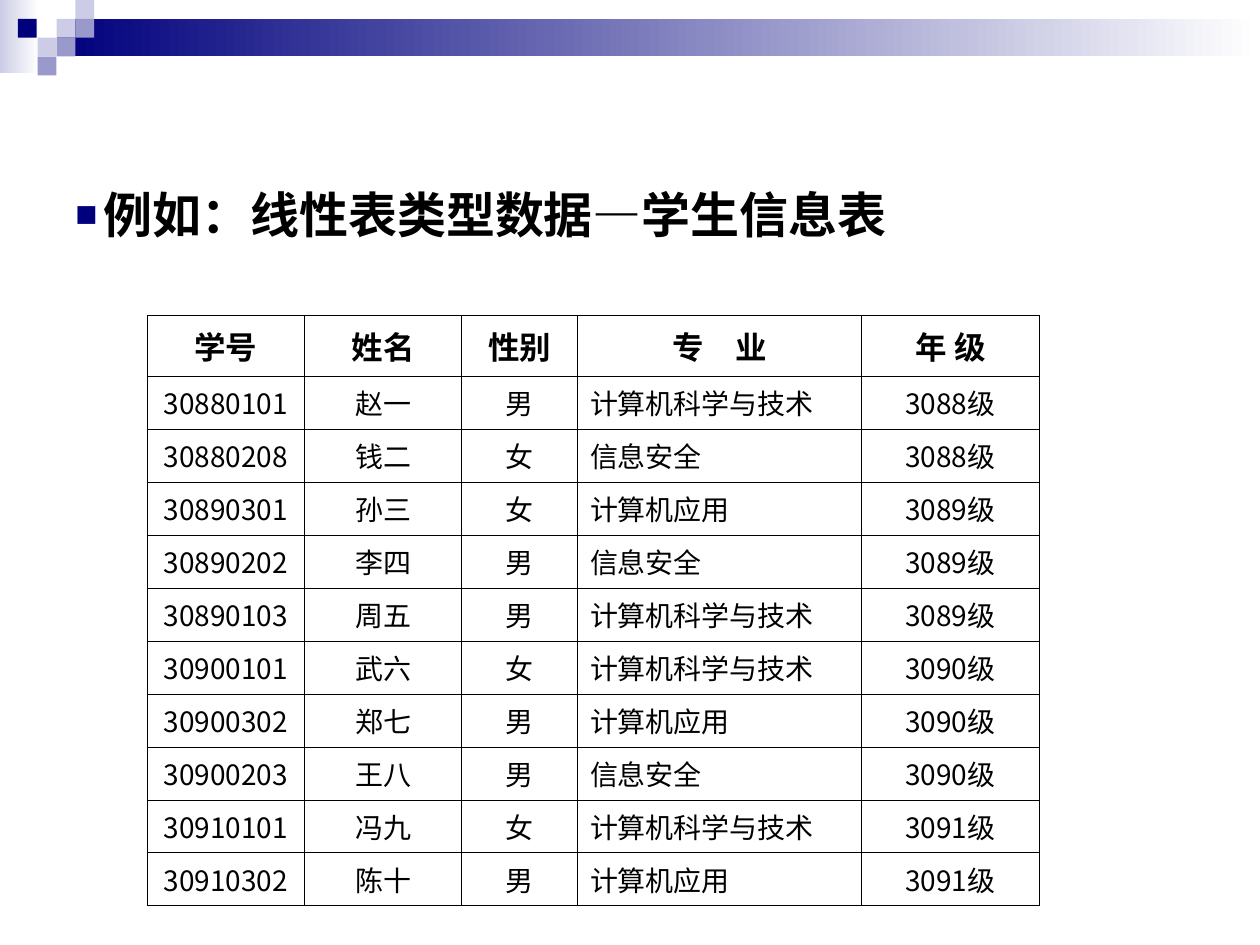
from lxml.etree import SubElement
from pptx import Presentation
from pptx.dml.color import RGBColor
from pptx.enum.shapes import MSO_SHAPE
from pptx.enum.text import MSO_ANCHOR, PP_ALIGN
from pptx.oxml.ns import qn
from pptx.util import Cm, Pt

NAVY = RGBColor(0x00, 0x00, 0x7D)
LILAC = RGBColor(0xCC, 0xCC, 0xE6)
VIOLET = RGBColor(0x99, 0x99, 0xCC)
WHITE = RGBColor(0xFF, 0xFF, 0xFF)
BLACK = RGBColor(0x00, 0x00, 0x00)
HAN = "Noto Sans CJK SC"

UNIT = 0.38
# Column and row on the square grid, then colour
TILES = [
    (3, 1, LILAC), (4, 0, LILAC), (4, 1, VIOLET), (2, 2, LILAC),
    (0.95, 1, NAVY), (3, 2, VIOLET), (2, 3, VIOLET),
]

HEAD = ["学号", "姓名", "性别", "专　业", "年 级"]
WIDTHS = [3.17, 3.17, 2.33, 5.72, 3.6]
MAJOR = 3
CS, SAFE, APP = "计算机科学与技术", "信息安全", "计算机应用"
PUPILS = [
    ["30880101", "赵一", "男", CS, "3088级"],
    ["30880208", "钱二", "女", SAFE, "3088级"],
    ["30890301", "孙三", "女", APP, "3089级"],
    ["30890202", "李四", "男", SAFE, "3089级"],
    ["30890103", "周五", "男", CS, "3089级"],
    ["30900101", "武六", "女", CS, "3090级"],
    ["30900302", "郑七", "男", APP, "3090级"],
    ["30900203", "王八", "男", SAFE, "3090级"],
    ["30910101", "冯九", "女", CS, "3091级"],
    ["30910302", "陈十", "男", APP, "3091级"],
]


def add_rect(slide, left, top, width, height, color, fade=False):
    """Add a borderless box, plain or fading to white at the right."""
    box = slide.shapes.add_shape(
        MSO_SHAPE.RECTANGLE, Cm(left), Cm(top), Cm(width), Cm(height))
    box.shadow.inherit = False
    box.line.fill.background()
    if fade:
        box.fill.gradient()
        box.fill.gradient_angle = 0
        for stop, tone in zip(box.fill.gradient_stops, (color, WHITE)):
            stop.color.rgb = tone
    else:
        box.fill.solid()
        box.fill.fore_color.rgb = color


def add_banner(slide):
    add_rect(slide, 0, 0, 0.79, 1.47, LILAC, fade=True)
    add_rect(slide, 3 * UNIT, UNIT, 25.4 - 3 * UNIT, 2 * UNIT, NAVY, fade=True)
    for col, row, color in TILES:
        add_rect(slide, col * UNIT, row * UNIT, UNIT, UNIT, color)


def style_run(run, name, size, bold):
    font = run.font
    font.name, font.size, font.bold = name, Pt(size), bold
    font.color.rgb = BLACK
    SubElement(font._element, qn("a:ea"), typeface=HAN)


def add_bullet(para):
    props = para._p.get_or_add_pPr()
    props.set("marL", str(Cm(0.57)))
    props.set("indent", str(Cm(-0.57)))
    tint = SubElement(props, qn("a:buClr"))
    SubElement(tint, qn("a:srgbClr"), val=str(NAVY))
    SubElement(props, qn("a:buSzPct"), val="75000")
    SubElement(props, qn("a:buFont"), typeface="Arial")
    SubElement(props, qn("a:buChar"), char="■")


def add_title(slide, text):
    box = slide.shapes.add_textbox(Cm(1.27), Cm(3.6), Cm(22.86), Cm(1.45))
    frame = box.text_frame
    frame.word_wrap = True
    frame.text = text
    para = frame.paragraphs[0]
    add_bullet(para)
    style_run(para.runs[0], "Arial", 28, True)


def add_border(cell):
    props = cell._tc.get_or_add_tcPr()
    for spot, side in enumerate(("lnL", "lnR", "lnT", "lnB")):
        line = props.makeelement(qn(f"a:{side}"), {"w": str(Pt(0.45))})
        props.insert(spot, line)
        fill = SubElement(line, qn("a:solidFill"))
        SubElement(fill, qn("a:srgbClr"), val=str(BLACK))


def fill_cell(cell, text, size, bold, align):
    cell.fill.background()
    add_border(cell)
    cell.vertical_anchor = MSO_ANCHOR.MIDDLE
    cell.text_frame.text = text
    para = cell.text_frame.paragraphs[0]
    para.alignment = align
    style_run(para.runs[0], HAN, size, bold)


def add_roster(slide):
    rows = [HEAD] + PUPILS
    table = slide.shapes.add_table(
        len(rows), len(HEAD), Cm(2.97), Cm(6.36),
        Cm(sum(WIDTHS)), Cm(10.92)).table
    for col, width in zip(table.columns, WIDTHS):
        col.width = Cm(width)
    for r, row in enumerate(rows):
        top = r == 0
        table.rows[r].height = Cm(1.22 if top else 0.97)
        for c, text in enumerate(row):
            left = c == MAJOR and not top
            align = PP_ALIGN.LEFT if left else PP_ALIGN.CENTER
            fill_cell(table.cell(r, c), text, 18 if top else 16, top, align)


def main():
    deck = Presentation()
    deck.slide_width, deck.slide_height = Cm(25.4), Cm(19.05)
    slide = deck.slides.add_slide(deck.slide_layouts[6])
    add_banner(slide)
    add_roster(slide)
    add_title(slide, "例如：线性表类型数据—学生信息表")
    deck.save("out.pptx")


if __name__ == "__main__":
    main()
